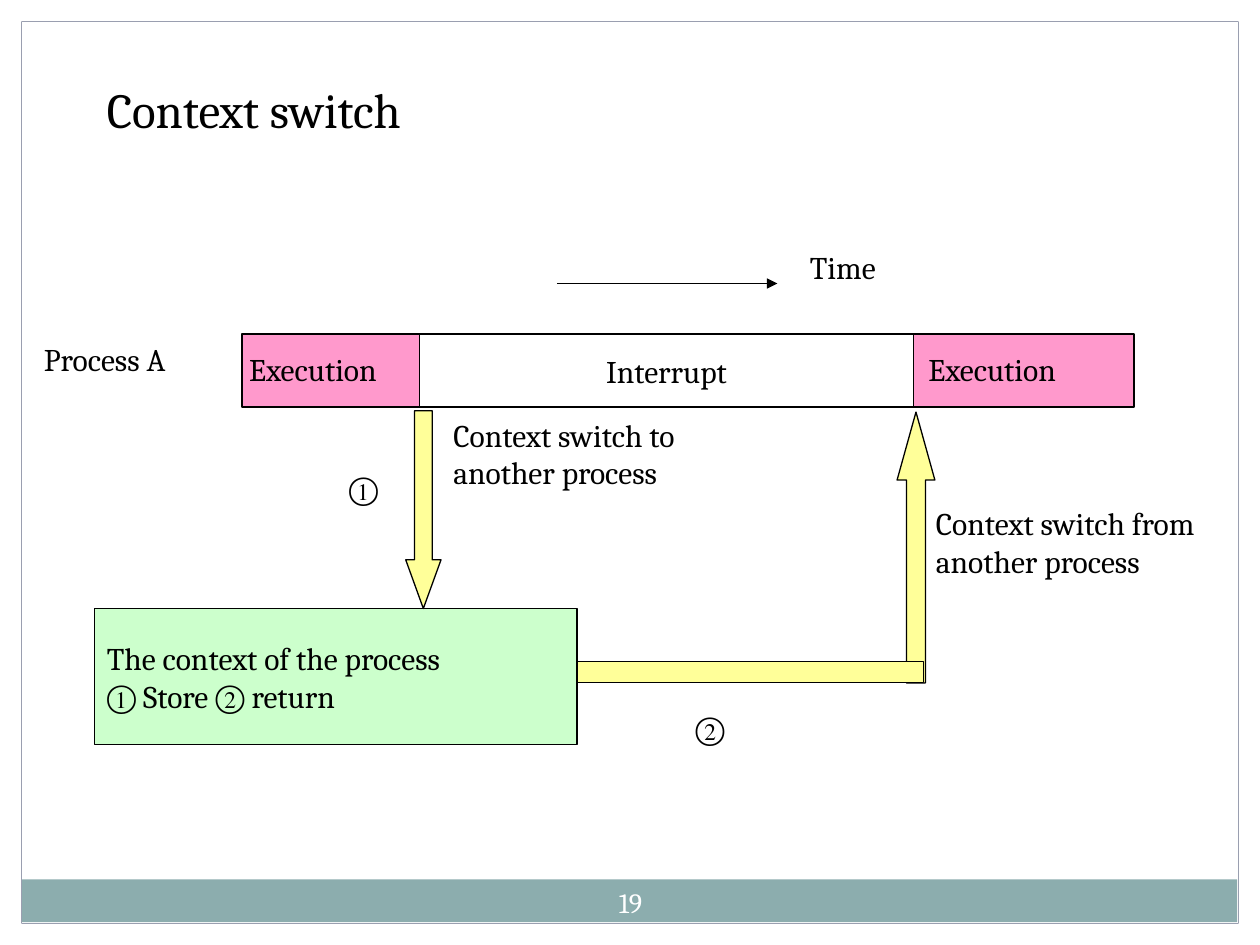
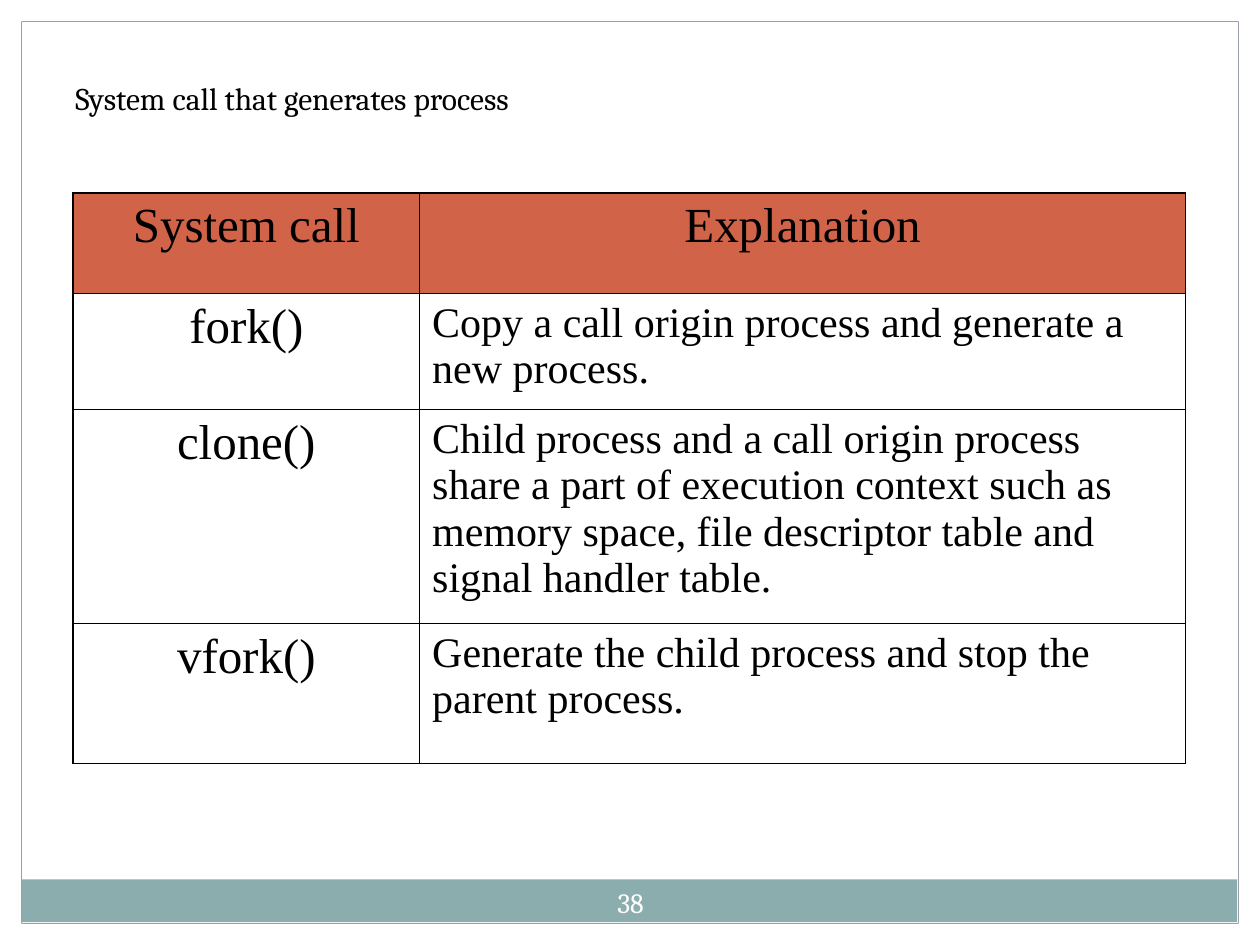
import pptx
import pptx.util
import pptx.dml.color
import pptx.enum.shapes
import pptx.enum.text
import pptx.oxml
import pptx.oxml.ns

Inches = pptx.util.Inches
Pt = pptx.util.Pt
KIND = pptx.enum.shapes.MSO_SHAPE
ALIGN = pptx.enum.text.PP_ALIGN
ANCHOR = pptx.enum.text.MSO_ANCHOR

# Shared look
WIDE, HIGH, EDGE = 10, 7.5, 0.17
BLACK, WHITE = "000000", "FFFFFF"
TEAL, SLATE, RUST = "8CADAE", "646B86", "D16349"
PINK, GREEN, YELLOW = "FF99CC", "CCFFCC", "FFFF99"
SERIF, TIMES = "Cambria", "Times New Roman"

# Context switch: the time bar, with its phases cut at the switches
BAR = (1.92, 2.65, 7.08, 0.58)
PAUSE = (3.33, 2.65, 3.92, 0.58)
STORE = (0.75, 4.83, 3.83, 1.08)
STEPS = ["The context of the process", "① Store ② return"]
ARROWS = [
    (KIND.DOWN_ARROW, (3.22, 3.26, 0.28, 1.57), (0.5, 1.38)),
    (KIND.UP_ARROW, (7.12, 3.27, 0.3, 2.15), (0.5, 1.8)),
    (KIND.RECTANGLE, (4.58, 5.25, 2.75, 0.17), ()),
]
LABELS = [
    ("Execution", (1.88, 2.73, 1.87, 0.4)),
    ("Execution", (7.27, 2.73, 1.8, 0.4)),
    ("Process A", (0.25, 2.65, 1.75, 0.4)),
    ("Time", (6.33, 1.92, 1.08, 0.4)),
    ("Context switch to another process", (3.5, 3.25, 2.59, 0.7)),
    ("Context switch from another process", (7.33, 3.95, 2.5, 1)),
    ("①", (2.67, 3.67, 0.5, 0.4)),
    ("②", (5.42, 5.58, 0.5, 0.4)),
]

# System calls
CALLS = [
    ("System call", "Explanation"),
    ("fork()", "Copy a call origin process and generate a new process."),
    ("clone()", "Child process and a call origin process share a part of "
                "execution context such as memory space, file descriptor "
                "table and signal handler table."),
    ("vfork()", "Generate the child process and stop the parent process."),
]
COLS = [2.75, 6.08]
ROWS = [0.8, 0.92, 1.7, 1.11]
CORNER = (0.58, 1.53)


def color(code):
    return pptx.dml.color.RGBColor.from_string(code)


def inch(box):
    return [Inches(n) for n in box]


def write(frame, text, size=18, font=SERIF, ink=BLACK, align=ALIGN.LEFT,
          anchor=ANCHOR.TOP, side=0.1):
    """Fill a text frame with one line of text or a list of them."""
    frame.word_wrap = True
    frame.vertical_anchor = anchor
    frame.margin_left = frame.margin_right = Inches(side)
    frame.margin_top = frame.margin_bottom = Inches(0.05)
    lines = [text] if isinstance(text, str) else text
    for i, line in enumerate(lines):
        para = frame.add_paragraph() if i else frame.paragraphs[0]
        para.alignment = align
        run = para.add_run()
        run.text = line
        run.font.size = Pt(size)
        run.font.name = font
        run.font.color.rgb = color(ink)


def label(slide, text, box, **style):
    write(slide.shapes.add_textbox(*inch(box)).text_frame, text, **style)


def block(slide, box, fill=None, line=None, kind=KIND.RECTANGLE):
    shape = slide.shapes.add_shape(kind, *inch(box))
    shape.shadow.inherit = False
    if fill:
        shape.fill.solid()
        shape.fill.fore_color.rgb = color(fill)
    else:
        shape.fill.background()
    if line:
        shape.line.color.rgb = color(line)
        shape.line.width = Pt(0.75)
    else:
        shape.line.fill.background()
    return shape


def arrow(slide, start, end):
    line = slide.shapes.add_connector(
        pptx.enum.shapes.MSO_CONNECTOR.STRAIGHT, *inch(start + end))
    line.line.color.rgb = color(BLACK)
    line.line.width = Pt(0.75)
    tip = pptx.oxml.parse_xml(
        f'<a:tailEnd {pptx.oxml.ns.nsdecls("a")} type="triangle"/>')
    line.line._get_or_add_ln().append(tip)
    line._element.spPr.append(pptx.oxml.parse_xml(
        f'<a:effectLst {pptx.oxml.ns.nsdecls("a")}/>'))


def border(cell, sides):
    """Rule the cell; sides maps L, R, T, B to True on the outer edge."""
    props = cell._tc.get_or_add_tcPr()
    for side, outer in sides.items():
        width = Pt(1.08 if outer else 0.45)
        props.append(pptx.oxml.parse_xml(
            f'<a:ln{side} {pptx.oxml.ns.nsdecls("a")} w="{width}">'
            f'<a:solidFill><a:srgbClr val="{BLACK}"/></a:solidFill>'
            f'</a:ln{side}>'))


def page(deck, title, box, number, size):
    """Add a slide with footer band, frame, margins, title and number."""
    slide = deck.slides.add_slide(deck.slide_layouts[6])
    block(slide, (0.16, 6.98, 9.66, 0.34), TEAL)
    block(slide, (EDGE, EDGE, WIDE - 2 * EDGE, HIGH - 2 * EDGE), line=SLATE)
    for top in (HIGH - EDGE, 0):
        block(slide, (0, top, WIDE, EDGE), WHITE)
    for left in (0, WIDE - EDGE):
        block(slide, (left, 0, EDGE, HIGH), WHITE)
    label(slide, title, box, size=size)
    label(slide, number, (4.67, 6.92, 0.67, 0.48), size=16, ink=WHITE,
          align=ALIGN.CENTER, anchor=ANCHOR.MIDDLE, side=0.05)
    return slide


def switch(deck):
    slide = page(deck, "Context switch", (0.75, 0.58, 5.17, 0.57), "19", 28)
    # Time bar
    block(slide, BAR, PINK, BLACK)
    pause = block(slide, PAUSE, WHITE, BLACK)
    write(pause.text_frame, "Interrupt", align=ALIGN.CENTER,
          anchor=ANCHOR.MIDDLE)
    arrow(slide, (4.42, 2.25), (6.17, 2.25))
    # Stored context and the way there and back
    store = block(slide, STORE, GREEN, BLACK)
    write(store.text_frame, STEPS, anchor=ANCHOR.MIDDLE)
    for kind, box, bends in ARROWS:
        shape = block(slide, box, YELLOW, BLACK, kind)
        for i, bend in enumerate(bends):
            shape.adjustments[i] = bend
    for text, box in LABELS:
        label(slide, text, box)


def calls(deck):
    slide = page(deck, "System call that generates process",
                 (0.5, 0.58, 5.5, 0.4), "38", 18)
    table = slide.shapes.add_table(
        len(ROWS), len(COLS), *inch((*CORNER, sum(COLS), sum(ROWS)))).table
    table.first_row = table.horz_banding = False
    for col, width in zip(table.columns, COLS):
        col.width = Inches(width)
    for row, height in zip(table.rows, ROWS):
        row.height = Inches(height)
    for r, texts in enumerate(CALLS):
        for c, text in enumerate(texts):
            cell = table.cell(r, c)
            body = r > 0 and c > 0
            write(cell.text_frame, text, size=24 if body else 28, font=TIMES,
                  align=ALIGN.LEFT if body else ALIGN.CENTER)
            border(cell, {"L": c == 0, "R": c == len(COLS) - 1,
                          "T": r == 0, "B": r == len(ROWS) - 1})
            cell.fill.solid()
            cell.fill.fore_color.rgb = color(WHITE if r else RUST)


def main():
    deck = pptx.Presentation()
    deck.slide_width, deck.slide_height = Inches(WIDE), Inches(HIGH)
    switch(deck)
    calls(deck)
    deck.save("out.pptx")


if __name__ == "__main__":
    main()
